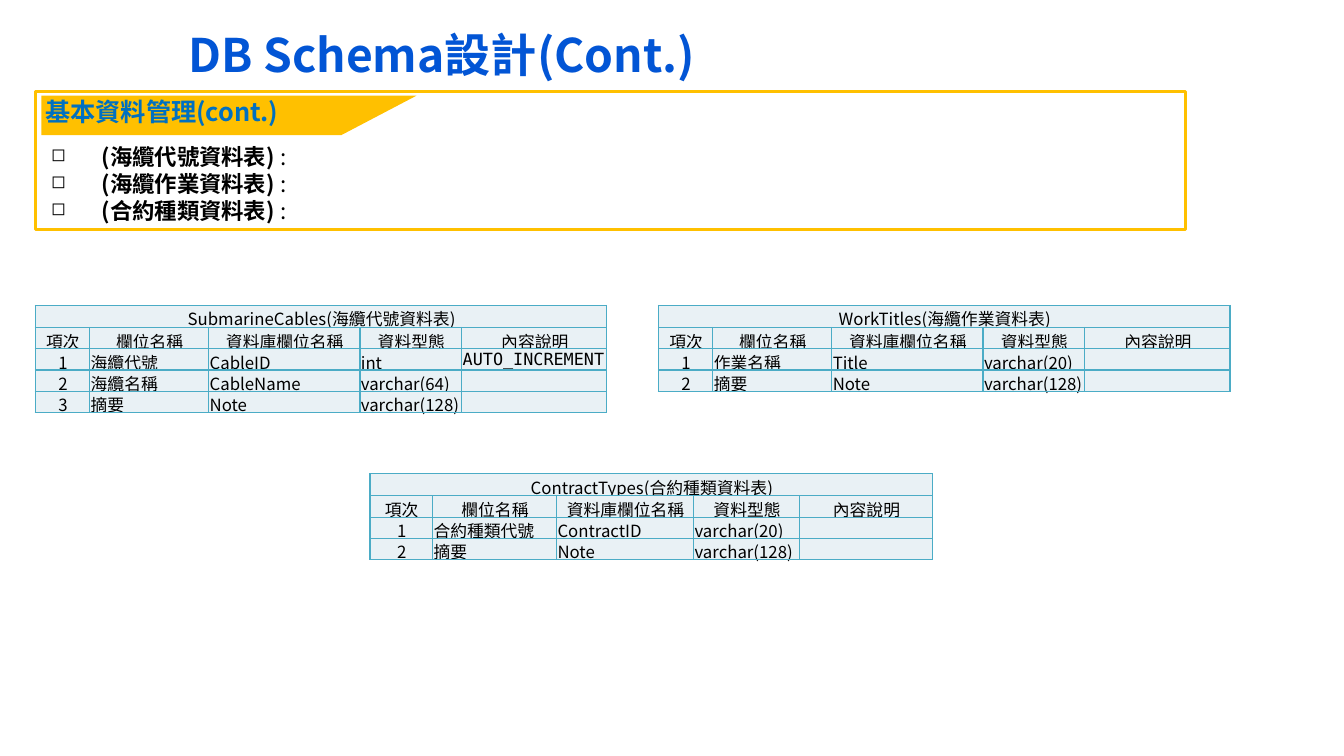
from dataclasses import dataclass

from lxml import etree
from pptx import Presentation, util as u
from pptx.dml.color import RGBColor
from pptx.enum import shapes, text
from pptx.oxml import ns


@dataclass(frozen=True)
class Theme:
    """Colours, fonts and type sizes of the deck."""
    title: str = "0255D5"
    heading: str = "0070C0"
    accent: str = "FFC000"
    ink: str = "000000"
    grid: str = "4BACC6"
    cell: str = "E9F1F5"
    font: str = "Noto Sans CJK SC"
    mono: str = "DejaVu Sans Mono"
    title_size: int = 33
    heading_size: int = 18
    list_size: int = 16
    table_size: int = 12


THEME = Theme()
HEADERS = ["項次", "欄位名稱", "資料庫欄位名稱", "資料型態", "內容說明"]
WIDE_COLUMNS = [0.54, 1.18, 1.5, 1.01, 1.44]
NARROW_COLUMNS = [0.62, 1.23, 1.36, 1.05, 1.32]
TITLE_ROW_HEIGHT = 0.22
ROW_HEIGHT = 0.21
SCHEMAS = [
    ((0.35, 3.03), WIDE_COLUMNS, "SubmarineCables(海纜代號資料表)", [
        ["海纜代號", "CableID", "int", "AUTO_INCREMENT"],
        ["海纜名稱", "CableName", "varchar(64)", ""],
        ["摘要", "Note", "varchar(128)", ""]]),
    ((3.67, 4.7), NARROW_COLUMNS, "ContractTypes(合約種類資料表)", [
        ["合約種類代號", "ContractID", "varchar(20)", ""],
        ["摘要", "Note", "varchar(128)", ""]]),
    ((6.53, 3.03), WIDE_COLUMNS, "WorkTitles(海纜作業資料表)", [
        ["作業名稱", "Title", "varchar(20)", ""],
        ["摘要", "Note", "varchar(128)", ""]]),
]


def apply(target, formats):
    """Set each named attribute on the target."""
    for name, value in formats.items():
        setattr(target, name, value)


def add_element(parent, tag, **attributes):
    """Append a drawing element to the parent."""
    return etree.SubElement(parent, ns.qn(tag), attributes)


def add_span(para, words, size, color, bold=False, font=THEME.font):
    """Add one formatted run to a paragraph."""
    span = para.add_run()
    span.text = words
    apply(span.font, {"size": u.Pt(size), "bold": bold, "name": font})
    span.font.color.rgb = RGBColor.from_string(color)
    add_element(span.font._element, "a:ea", typeface=font)


def add_box(page, box, anchor=text.MSO_ANCHOR.TOP):
    """Add a wrapping text box and return its frame."""
    frame = page.shapes.add_textbox(*map(u.Inches, box)).text_frame
    apply(frame, {"word_wrap": True, "vertical_anchor": anchor})
    return frame


def add_title(page, box):
    """Place the slide title."""
    para = add_box(page, box, text.MSO_ANCHOR.MIDDLE).paragraphs[0]
    para.line_spacing = 0.9
    add_span(para, "DB Schema設計(Cont.)", THEME.title_size, THEME.title, True)


def add_banner(page, left, top, width, height):
    """Place the slanted heading band as a shape turned on its side."""
    band = page.shapes.add_shape(
        shapes.MSO_SHAPE.FLOWCHART_MANUAL_INPUT,
        u.Inches(left + (width - height) / 2), u.Inches(top + (height - width) / 2),
        u.Inches(height), u.Inches(width))
    band.rotation = 270
    band.shadow.inherit = False
    band._element.spPr.xfrm.set("flipV", "1")
    band.fill.solid()
    band.fill.fore_color.rgb = RGBColor.from_string(THEME.accent)
    band.line.fill.background()


def add_summary(page, left, top, width, height):
    """Place the outlined panel with its heading and bulleted table names."""
    panel = page.shapes.add_shape(
        shapes.MSO_SHAPE.RECTANGLE, *map(u.Inches, (left, top, width, height)))
    panel.shadow.inherit = False
    panel.fill.background()
    panel.line.color.rgb = RGBColor.from_string(THEME.accent)
    panel.line.width = u.Pt(2)

    add_banner(page, left + 0.06, top + 0.04, 3.72, 0.39)
    heading = add_box(page, (left, top, 3.32, 0.4)).paragraphs[0]
    add_span(heading, "基本資料管理(cont.)", THEME.heading_size, THEME.heading, True)

    frame = add_box(page, (left + 0.06, top + 0.46, width - 0.25, 0.91))
    for index, name in enumerate(["海纜代號資料表", "海纜作業資料表", "合約種類資料表"]):
        para = frame.add_paragraph() if index else frame.paragraphs[0]
        para.alignment = text.PP_ALIGN.JUSTIFY
        properties = para._p.get_or_add_pPr()
        properties.set("marL", str(u.Inches(0.5)))
        properties.set("indent", str(-u.Inches(0.5)))
        add_element(properties, "a:buSzPct", val="80000")
        add_element(properties, "a:buChar", char="◻")
        add_span(para, f"({name}) ", THEME.list_size, THEME.ink, True)
        add_span(para, ":", THEME.list_size, THEME.ink)


def fill_cell(cell, words, centred):
    """Write and style one table cell."""
    apply(cell, {"margin_left": u.Inches(0.01), "margin_right": 0,
                 "margin_top": u.Inches(0.01), "margin_bottom": 0,
                 "vertical_anchor": text.MSO_ANCHOR.MIDDLE})
    properties = cell._tc.get_or_add_tcPr()
    for side in ("a:lnL", "a:lnR", "a:lnT", "a:lnB"):
        border = add_element(properties, side, w=str(u.Pt(1)))
        add_element(add_element(border, "a:solidFill"), "a:srgbClr", val=THEME.grid)
    cell.fill.solid()
    cell.fill.fore_color.rgb = RGBColor.from_string(THEME.cell)

    para = cell.text_frame.paragraphs[0]
    para.alignment = text.PP_ALIGN.CENTER if centred else text.PP_ALIGN.LEFT
    if words:
        font = THEME.mono if words == "AUTO_INCREMENT" else THEME.font
        add_span(para, words, THEME.table_size, THEME.ink, font=font)
    else:
        add_element(para._p, "a:endParaRPr", sz=str(THEME.table_size * 100))


def add_schema(page, corner, columns, name, fields):
    """Place one schema table with its top left at the corner."""
    numbered = [[str(number), *field] for number, field in enumerate(fields, 1)]
    rows = [[name] + [""] * 4, HEADERS, *numbered]
    heights = [TITLE_ROW_HEIGHT] + [ROW_HEIGHT] * (len(rows) - 1)
    box = (*corner, sum(columns), sum(heights))
    table = page.shapes.add_table(len(rows), len(columns), *map(u.Inches, box)).table
    apply(table, {"first_row": False, "horz_banding": False})
    for column, width in zip(table.columns, columns):
        column.width = u.Inches(width)
    for row_index, row in enumerate(rows):
        table.rows[row_index].height = u.Inches(heights[row_index])
        for column_index, words in enumerate(row):
            centred = row_index < 2 or column_index == 0
            fill_cell(table.cell(row_index, column_index), words, centred)
    table.cell(0, 0).merge(table.cell(0, len(columns) - 1))


def main():
    """Build and save the deck."""
    deck = Presentation()
    apply(deck, {"slide_width": u.Inches(13.33), "slide_height": u.Inches(7.5)})
    page = deck.slides.add_slide(deck.slide_layouts[6])
    add_title(page, (1.77, 0.22, 9.9, 0.71))
    add_summary(page, 0.35, 0.91, 11.41, 1.37)
    for schema in SCHEMAS:
        add_schema(page, *schema)
    deck.save("out.pptx")


if __name__ == "__main__":
    main()
